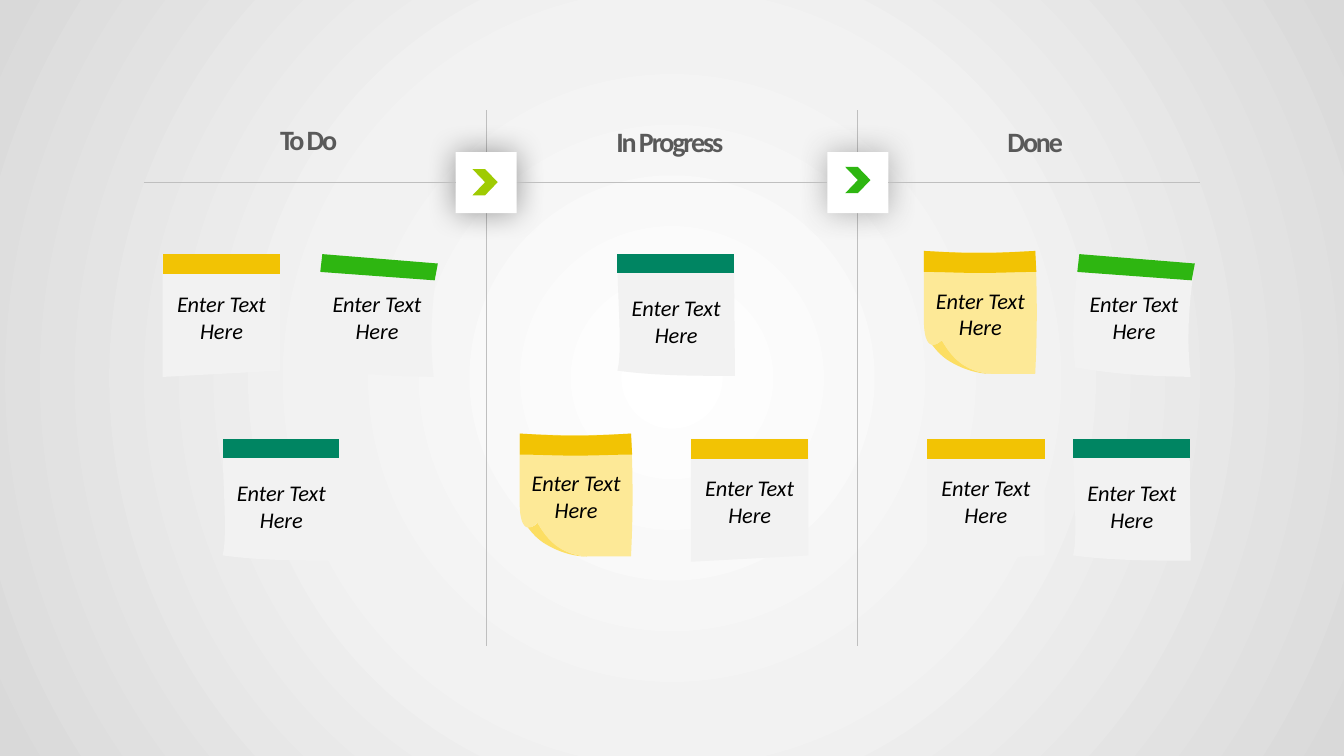
from dataclasses import dataclass

from pptx import Presentation
from pptx.dml.color import RGBColor
from pptx.enum.shapes import MSO_CONNECTOR, MSO_SHAPE
from pptx.enum.text import MSO_ANCHOR, PP_ALIGN
from pptx.oxml import parse_xml
from pptx.oxml.ns import nsdecls, qn
from pptx.util import Pt

PX = 9525
CURVE_STEPS = 16
COLOURS = {
    "white": "FFFFFF", "paper": "F2F2F2", "edge": "D9D9D9", "rule": "BFBFBF",
    "heading": "595959", "ink": "000000", "charcoal": "404040",
    "lime": "9FCB02", "green": "2EB611", "teal": "008562",
    "amber": "F2C304", "sticky": "FDE997", "fold": "FCDE63",
}


@dataclass(frozen=True)
class Part:
    """One outline of a note: points are line ends, six numbers are a curve."""
    colour: str
    outline: list[tuple[int, ...]]
    holds_text: bool = False


@dataclass(frozen=True)
class Note:
    """A note of one style at a place on the board."""
    style: str
    left: int
    top: int


@dataclass(frozen=True)
class Heading:
    """The heading of one board column."""
    text: str
    left: int
    top: int


@dataclass(frozen=True)
class Gate:
    """A divider with a square badge and its chevron."""
    centre: int
    shadow: str
    chevron: str
    chevron_left: int
    chevron_top: int


STYLES = {
    "flat": [
        Part("paper", [(0, 0), (112, 0), (112, 111), (0, 117)], True),
        Part("amber", [(0, 0), (112, 0), (112, 19), (0, 19)]),
    ],
    "tilted": [
        Part("paper", [(8, 0), (44, 3, 82, 6, 118, 9), (112, 47, 110, 83, 114, 117),
                       (71, 116, 47, 115, 4, 108), (0, 76, 3, 39, 8, 0)], True),
        Part("green", [(8, 0), (118, 9), (115, 25), (6, 17)]),
    ],
    "curved": [
        Part("paper", [(0, 4), (111, 4), (112, 116), (75, 116, 37, 116, 0, 111),
                       (5, 93, 0, 41, 0, 4)], True),
        Part("teal", [(0, 0), (111, 0), (111, 18), (0, 18)]),
    ],
    "sticky": [
        Part("fold", [(64, 117), (38, 115, 26, 100, 17, 85), (12, 90, 8, 90, 6, 87),
                      (11, 94, 17, 101, 26, 106), (38, 113, 52, 117, 63, 117)]),
        Part("sticky", [(0, 0), (36, 2, 71, 2, 106, 0), (108, 39, 108, 78, 106, 117),
                        (64, 117), (38, 115, 26, 101, 17, 85),
                        (3, 98, 0, 80, 0, 67)], True),
        Part("amber", [(0, 0), (0, 20), (17, 20, 36, 21, 53, 21),
                       (71, 21, 89, 20, 107, 20), (106, 0),
                       (88, 1, 70, 2, 52, 2), (35, 2, 17, 1, 0, 0)]),
    ],
}
NOTES = [
    Note("flat", 155, 242), Note("tilted", 299, 242), Note("curved", 212, 418),
    Note("curved", 588, 242), Note("flat", 658, 418), Note("tilted", 1020, 242),
    Note("flat", 883, 418), Note("curved", 1022, 418),
    Note("sticky", 880, 239), Note("sticky", 495, 413),
]
HEADINGS = [Heading("To Do", 137, 105), Heading("In Progress", 481, 107),
            Heading("Done", 829, 107)]
GATES = [Gate(463, "ink", "lime", 450, 161), Gate(817, "charcoal", "green", 805, 159)]
BOARD_LEFT, BOARD_RIGHT, BOARD_TOP, BOARD_BOTTOM = 137, 1143, 105, 615
BADGE, RULE_Y = 58, 174


def rgb(colour: str) -> RGBColor:
    """Look up a colour by its name."""
    return RGBColor.from_string(COLOURS[colour])


def write(frame, text: str, *, size: int, colour: str, bold=False, italic=False,
          spacing: int = 0, anchor=MSO_ANCHOR.TOP, inset_top: int = 5) -> None:
    """Write one centred, formatted paragraph."""
    frame.word_wrap = True
    frame.vertical_anchor = anchor
    frame.margin_top = inset_top * PX
    paragraph = frame.paragraphs[0]
    paragraph.alignment = PP_ALIGN.CENTER
    run = paragraph.add_run()
    run.text = text
    font = run.font
    font.name, font.size, font.bold, font.italic = "Calibri", Pt(size), bold, italic
    font.color.rgb = rgb(colour)
    if spacing:
        run._r.get_or_add_rPr().set("spc", str(spacing))


def paint(shape, colour: str) -> None:
    """Give a shape a plain fill with no line or shadow."""
    shape.shadow.inherit = False
    shape.fill.solid()
    shape.fill.fore_color.rgb = rgb(colour)
    shape.line.fill.background()


def add_preset(slide, kind, left: int, top: int, width: int, height: int, colour: str):
    """Draw a plain preset shape."""
    shape = slide.shapes.add_shape(kind, left * PX, top * PX, width * PX, height * PX)
    paint(shape, colour)
    return shape


def add_rule(slide, x1: int, y1: int, x2: int, y2: int):
    """Draw a thin grey line."""
    rule = slide.shapes.add_connector(
        MSO_CONNECTOR.STRAIGHT, x1 * PX, y1 * PX, x2 * PX, y2 * PX)
    rule.line.color.rgb = rgb("rule")
    rule.line.width = Pt(0.5)
    rule.element.spPr.append(parse_xml(f"<a:effectLst {nsdecls('a')}/>"))
    return rule


def trace(outline: list[tuple[int, ...]]) -> list[tuple[int, int]]:
    """Turn line ends and cubic curves into EMU points."""
    points = [outline[0]]
    for step in outline[1:]:
        if len(step) == 2:
            points.append(step)
            continue
        corners = [points[-1], step[:2], step[2:4], step[4:]]
        for index in range(1, CURVE_STEPS + 1):
            t = index / CURVE_STEPS
            weights = ((1 - t) ** 3, 3 * t * (1 - t) ** 2, 3 * t * t * (1 - t), t ** 3)
            points.append(tuple(sum(w * c[axis] for w, c in zip(weights, corners))
                                for axis in (0, 1)))
    return [(round(x * PX), round(y * PX)) for x, y in points]


def add_note(slide, note: Note) -> None:
    """Draw a note from its parts and group them."""
    pieces = []
    for part in STYLES[note.style]:
        start, *rest = trace(part.outline)
        builder = slide.shapes.build_freeform(*start, scale=1.0)
        builder.add_line_segments(rest, close=True)
        piece = builder.convert_to_shape(note.left * PX, note.top * PX)
        paint(piece, part.colour)
        if part.holds_text:
            write(piece.text_frame, "Enter Text Here", size=16, colour="ink",
                  italic=True, inset_top=34)
        pieces.append(piece)
    slide.shapes.add_group_shape(pieces)


def add_badge(slide, gate: Gate):
    """Draw a divider and the glowing square on it."""
    add_rule(slide, gate.centre, BOARD_TOP, gate.centre, BOARD_BOTTOM)
    badge = add_preset(slide, MSO_SHAPE.RECTANGLE, gate.centre - BADGE // 2,
                       RULE_Y - BADGE // 2, BADGE, BADGE, "white")
    badge.element.spPr.find(qn("a:effectLst")).append(parse_xml(
        f'<a:outerShdw {nsdecls("a")} blurRad="{Pt(22)}" dist="0" dir="0" algn="ctr" '
        f'rotWithShape="0"><a:srgbClr val="{COLOURS[gate.shadow]}">'
        '<a:alpha val="40000"/></a:srgbClr></a:outerShdw>'))
    return badge


def set_background(slide) -> None:
    """Fill the slide with a radial gradient."""
    slide.background.fill.gradient()
    stops = "".join(
        f'<a:gs pos="{place * 1000}"><a:srgbClr val="{COLOURS[colour]}"/></a:gs>'
        for place, colour in ((0, "white"), (46, "paper"), (100, "edge")))
    gradient = slide.element.find(f".//{qn('a:gradFill')}")
    gradient.getparent().replace(gradient, parse_xml(
        f'<a:gradFill {nsdecls("a")} rotWithShape="1"><a:gsLst>{stops}</a:gsLst>'
        '<a:path path="circle"><a:fillToRect l="50000" t="50000" r="50000" b="50000"/>'
        '</a:path></a:gradFill>'))


def main() -> None:
    """Build the board slide."""
    deck = Presentation()
    deck.slide_width, deck.slide_height = 1280 * PX, 720 * PX
    slide = deck.slides.add_slide(deck.slide_layouts[6])
    set_background(slide)
    for heading in HEADINGS:
        box = slide.shapes.add_textbox(heading.left * PX, heading.top * PX, 314 * PX, 55 * PX)
        write(box.text_frame, heading.text, size=20, colour="heading", bold=True,
              spacing=-150, anchor=MSO_ANCHOR.MIDDLE)
    badges = [add_badge(slide, gate) for gate in GATES]
    for before, after in zip([None, *badges], [*badges, None]):
        rule = add_rule(slide, BOARD_LEFT, RULE_Y, BOARD_RIGHT, RULE_Y)
        if before:
            rule.begin_connect(before, 3)
        if after:
            rule.end_connect(after, 1)
    for gate in GATES:
        add_preset(slide, MSO_SHAPE.CHEVRON, gate.chevron_left, gate.chevron_top,
                   24, 25, gate.chevron)
    for note in NOTES:
        add_note(slide, note)
    deck.save("out.pptx")


if __name__ == "__main__":
    main()
